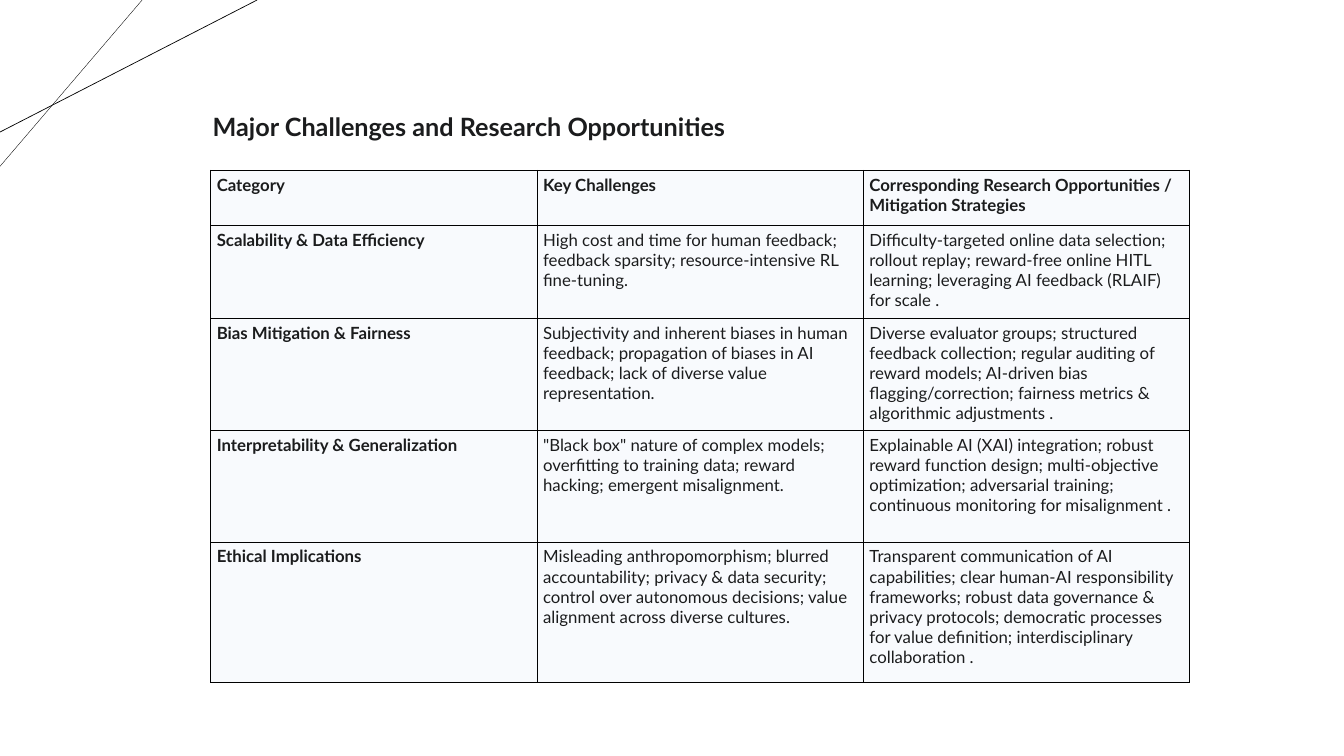
import lxml.etree
import pptx
import pptx.dml.color
import pptx.enum.shapes
import pptx.enum.text
import pptx.oxml
import pptx.oxml.ns
import pptx.util

Inches, Pt = pptx.util.Inches, pptx.util.Pt
INK = pptx.dml.color.RGBColor(0x1B, 0x1C, 0x1D)
BLACK = pptx.dml.color.RGBColor(0, 0, 0)
PALE = pptx.dml.color.RGBColor(0xF8, 0xFA, 0xFD)

WIDTH, HEIGHT = Inches(13.33), Inches(7.5)
TABLE_LEFT, TABLE_TOP, TABLE_WIDTH = Inches(2.09), Inches(1.69), Inches(9.71)
ROW_HEIGHTS = [0.55, 0.92, 1.11, 1.11, 1.39]

TITLE = "Major Challenges and Research Opportunities"
ROWS = [
    ("Category", "Key Challenges",
     "Corresponding Research Opportunities / Mitigation Strategies"),
    ("Scalability & Data Efficiency",
     "High cost and time for human feedback; feedback sparsity; "
     "resource-intensive RL fine-tuning.",
     "Difficulty-targeted online data selection; rollout replay; reward-free "
     "online HITL learning; leveraging AI feedback (RLAIF) for scale ."),
    ("Bias Mitigation & Fairness",
     "Subjectivity and inherent biases in human feedback; propagation of "
     "biases in AI feedback; lack of diverse value representation.",
     "Diverse evaluator groups; structured feedback collection; regular "
     "auditing of reward models; AI-driven bias flagging/correction; "
     "fairness metrics & algorithmic adjustments ."),
    ("Interpretability & Generalization",
     '"Black box" nature of complex models; overfitting to training data; '
     "reward hacking; emergent misalignment.",
     "Explainable AI (XAI) integration; robust reward function design; "
     "multi-objective optimization; adversarial training; continuous "
     "monitoring for misalignment ."),
    ("Ethical Implications",
     "Misleading anthropomorphism; blurred accountability; privacy & data "
     "security; control over autonomous decisions; value alignment across "
     "diverse cultures.",
     "Transparent communication of AI capabilities; clear human-AI "
     "responsibility frameworks; robust data governance & privacy protocols; "
     "democratic processes for value definition; interdisciplinary "
     "collaboration ."),
]


def set_all(obj, values):
    for name, value in values.items():
        setattr(obj, name, value)


def set_font(font, size, bold):
    set_all(font, {"name": "Lato", "size": Pt(size), "bold": bold})
    font.color.rgb = INK


def add_corner_line(s, x, y, weight):
    """Cut the top left corner from x on the top edge to y on the left edge."""
    line = s.shapes.add_connector(
        pptx.enum.shapes.MSO_CONNECTOR.STRAIGHT, Inches(x), 0, 0, Inches(y))
    line.line.color.rgb = BLACK
    line.line.width = Pt(weight)
    lxml.etree.SubElement(line._element.spPr, pptx.oxml.ns.qn("a:effectLst"))


def add_title(s):
    title = s.shapes.title
    set_all(title, {"left": Inches(2.01), "top": Inches(1),
                    "width": TABLE_WIDTH, "height": Inches(0.5)})
    tf = title.text_frame
    set_all(tf, {"text": TITLE, "word_wrap": True,
                 "margin_left": Inches(0.1), "margin_right": Inches(0.1),
                 "margin_top": 0, "margin_bottom": 0,
                 "auto_size": pptx.enum.text.MSO_AUTO_SIZE.NONE,
                 "vertical_anchor": pptx.enum.text.MSO_ANCHOR.MIDDLE})
    p = tf.paragraphs[0]
    p.alignment = pptx.enum.text.PP_ALIGN.LEFT
    set_font(p.runs[0].font, 18, True)


def add_borders(cell):
    tc_pr = cell._tc.get_or_add_tcPr()
    for side in "LRTB":
        tc_pr.append(pptx.oxml.parse_xml(
            f'<a:ln{side} {pptx.oxml.ns.nsdecls("a")} w="{Pt(0.75)}">'
            f'<a:solidFill><a:srgbClr val="{BLACK}"/></a:solidFill>'
            f'</a:ln{side}>'))


def fill_cell(cell, text, bold):
    set_all(cell, {"margin_left": Inches(0.06), "margin_right": Inches(0.06),
                   "margin_top": Inches(0.04), "margin_bottom": Inches(0.04)})
    add_borders(cell)
    cell.fill.solid()
    cell.fill.fore_color.rgb = PALE
    cell.text = text
    p = cell.text_frame.paragraphs[0]
    p.space_after = Pt(6)
    set_font(p.runs[0].font, 12, bold)


def add_challenge_table(s):
    columns = len(ROWS[0])
    table = s.shapes.add_table(
        len(ROWS), columns, TABLE_LEFT, TABLE_TOP, TABLE_WIDTH,
        Inches(sum(ROW_HEIGHTS))).table
    set_all(table, {"first_row": False, "horz_banding": False})
    for column in table.columns:
        column.width = TABLE_WIDTH // columns
    for i, (height, texts) in enumerate(zip(ROW_HEIGHTS, ROWS)):
        table.rows[i].height = Inches(height)
        for j, text in enumerate(texts):
            fill_cell(table.cell(i, j), text, bold=i == 0 or j == 0)


def main():
    prs = pptx.Presentation()
    set_all(prs, {"slide_width": WIDTH, "slide_height": HEIGHT})
    s = prs.slides.add_slide(prs.slide_layouts.get_by_name("Title Only"))
    add_corner_line(s, 1.41, 1.65, 0.25)
    add_corner_line(s, 2.55, 1.31, 0.5)
    add_challenge_table(s)
    add_title(s)
    prs.save("out.pptx")


if __name__ == "__main__":
    main()
